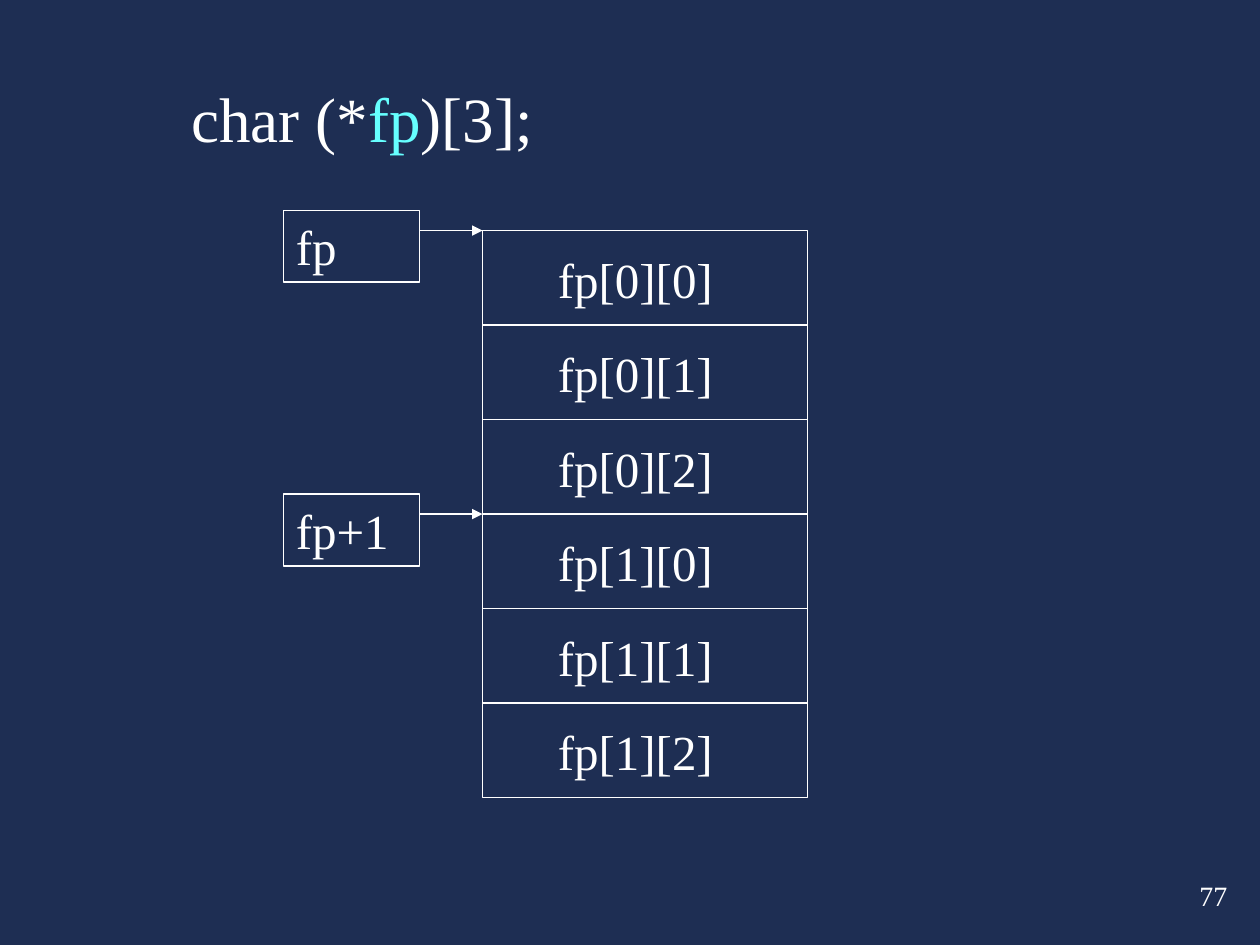
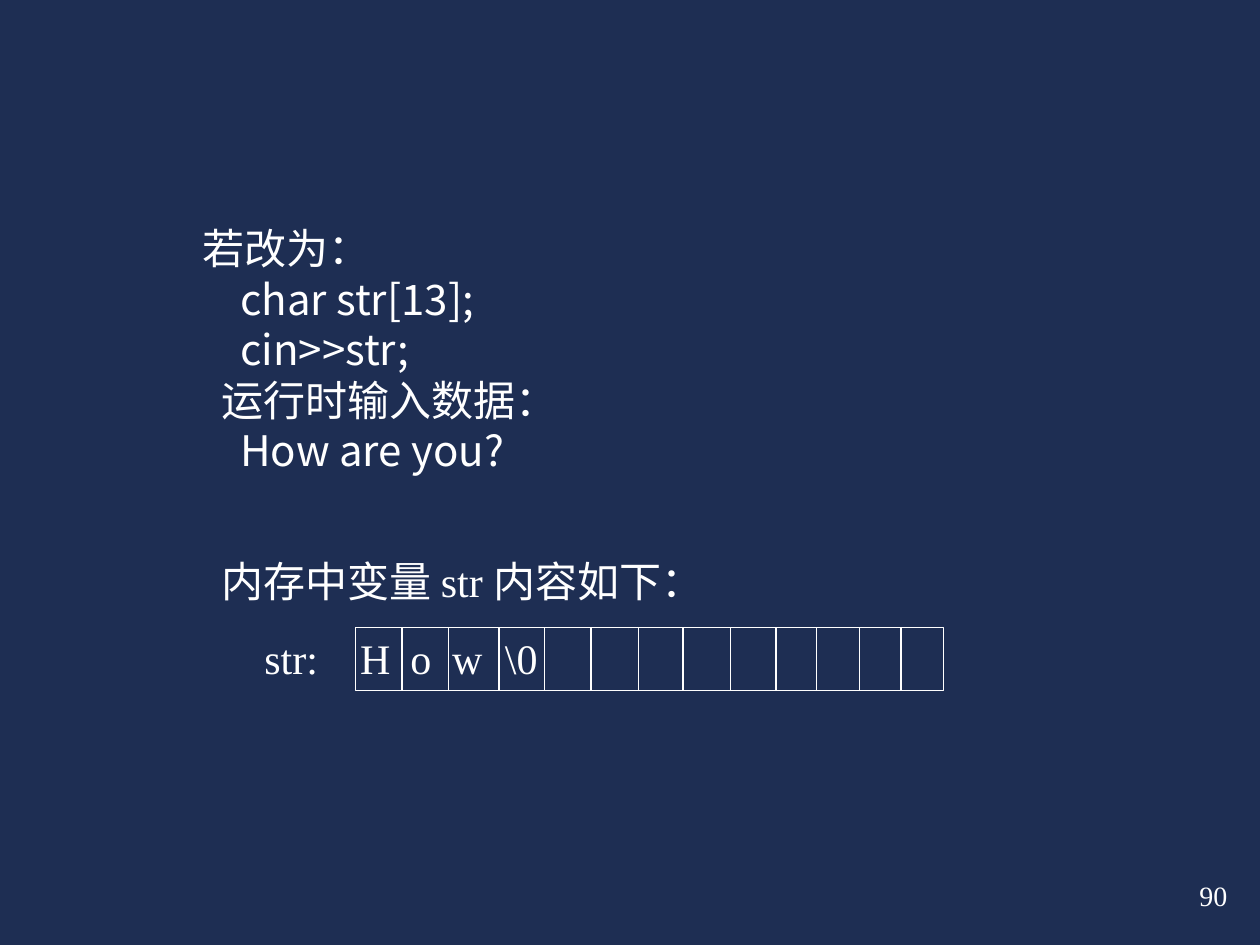
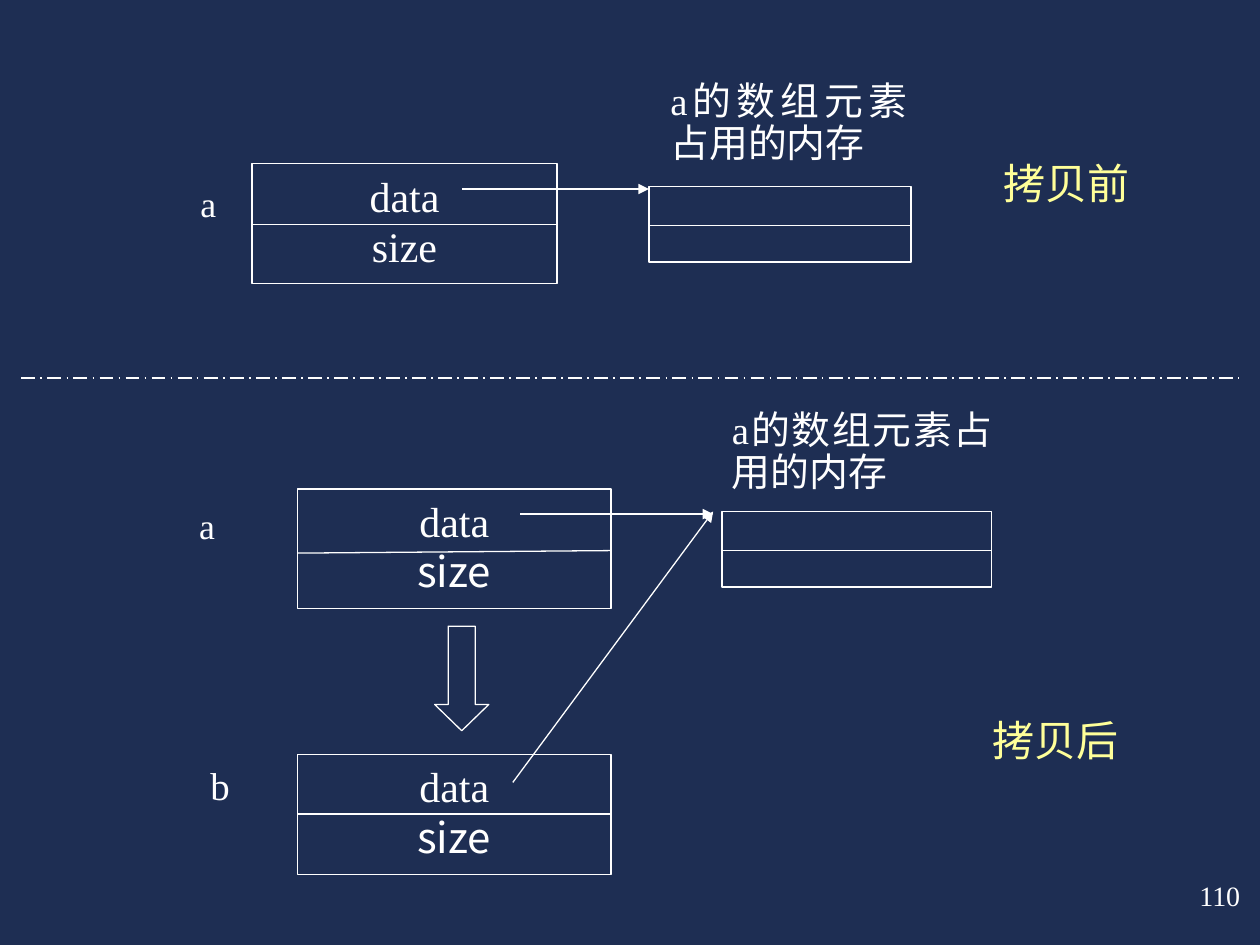
from dataclasses import dataclass

from lxml import etree
from pptx import Presentation
from pptx import util as u
from pptx.dml.color import RGBColor
from pptx.enum import dml, shapes, text
from pptx.oxml import ns

Inches = u.Inches


@dataclass(frozen=True)
class Theme:
    background: str = "1E2E53"
    white: str = "FFFFFF"
    cyan: str = "66FFFF"
    yellow: str = "FFFF99"
    latin: str = "Times New Roman"
    asian: str = "Noto Sans CJK SC"
    title: float = 36
    element: float = 28
    body: float = 24
    caption: float = 22.2
    name: float = 20.4
    number: float = 16
    thin: float = 0.75
    normal: float = 1


THEME = Theme()
LEFT, CENTER, JUSTIFY = text.PP_ALIGN.LEFT, text.PP_ALIGN.CENTER, text.PP_ALIGN.JUSTIFY
INSET = (0.1, 0.05)

# Content: pointer to rows of three characters
DECLARATION = [("char (*", THEME.white), ("fp", THEME.cyan), (")[3];", THEME.white)]
ROWS, COLUMNS = 2, 3
POINTERS = ["fp", "fp+1"]

# Content: reading a string, each line with its indent
CODE_LINES = [
    ("若改为：", 0),
    ("    char str[13];", 0),
    ("    cin>>str;", 0),
    ("运行时输入数据：", 0.15),
    ("How are you?", 0.3),
]
MEMORY_LINES = ["内存中变量 str 内容如下：", "\tstr:\tH\to\tw\t\\0"]
MEMORY_TABS = [0.34, 1.1, 1.5, 1.83, 2.25]
CELL_EDGES = [3.19, 3.56, 3.96, 4.32, 4.69, 5.07, 5.42, 5.8, 6.16, 6.48, 6.82, 7.15]

# Content: objects before and after copying
MEMORY_CAPTION = "a的数组元素占用的内存"
STAGES = [("拷贝前", 7.42, 1.25), ("拷贝后", 7.33, 5.67)]
# name, name size, name position, box, divider heights, font of "size"
OBJECTS = [
    ("a", THEME.name, (1.59, 1.48), (2, 1.3, 2.42, 0.95), (1.78, 1.78), THEME.latin),
    ("a", THEME.name, (1.58, 4.04), (2.36, 3.88, 2.49, 0.95), (4.39, 4.37), THEME.asian),
    ("b", THEME.caption, (1.67, 6.09), (2.36, 5.99, 2.49, 0.95), (6.46, 6.46), THEME.asian),
]
# memory block, caption box
MEMORIES = [
    ((5.15, 1.48, 2.08, 0.6), (5.32, 0.65, 1.88, 0.77)),
    ((5.73, 4.06, 2.14, 0.6), (5.81, 3.26, 2.07, 0.77)),
]
DATA_ARROWS = [
    ((3.67, 1.5), (5.15, 1.5)),
    ((4.13, 4.08), (5.66, 4.08)),
    ((4.07, 6.21), (5.66, 4.06)),
]


# Shared helpers
def write(shape, paragraphs, size=THEME.body, color=THEME.white, fonts=(THEME.latin,),
          align=LEFT, anchor=text.MSO_ANCHOR.TOP, inset=INSET, spacing=None,
          before=0, indents=(), tabs=()):
    """Fill a shape; a paragraph is a string or a list of (text, colour) runs."""
    frame = shape.text_frame
    frame.word_wrap = True
    frame.auto_size = text.MSO_AUTO_SIZE.NONE
    frame.vertical_anchor = anchor
    frame.margin_left = frame.margin_right = Inches(inset[0])
    frame.margin_top = frame.margin_bottom = Inches(inset[1])
    for index, content in enumerate(paragraphs):
        paragraph = frame.add_paragraph() if index else frame.paragraphs[0]
        paragraph.alignment = align
        paragraph.space_before = u.Pt(before if index else 0)
        if spacing:
            paragraph.line_spacing = spacing
        properties = paragraph._p.get_or_add_pPr()
        if indents:
            properties.set("marL", str(Inches(indents[index])))
        if tabs:
            tab_list = etree.SubElement(properties, ns.qn("a:tabLst"))
            for position in tabs:
                etree.SubElement(tab_list, ns.qn("a:tab"), pos=str(Inches(position)), algn="l")
        runs = [(content, color)] if isinstance(content, str) else content
        for words, run_color in runs:
            run = paragraph.add_run()
            run.text = words
            run.font.size = u.Pt(size)
            run.font.color.rgb = RGBColor.from_string(run_color)
            run.font.name = fonts[min(index, len(fonts) - 1)]
            etree.SubElement(run.font._element, ns.qn("a:ea"), typeface=THEME.asian)


def add_text(slide, box, paragraphs, **style):
    write(slide.shapes.add_textbox(*map(Inches, box)), paragraphs, **style)


def add_outline(slide, box, width=THEME.thin, kind=shapes.MSO_SHAPE.RECTANGLE):
    shape = slide.shapes.add_shape(kind, *map(Inches, box))
    shape.shadow.inherit = False
    shape.fill.background()
    shape.line.color.rgb = RGBColor.from_string(THEME.white)
    shape.line.width = u.Pt(width)
    return shape


def add_line(slide, start, end, width=THEME.thin, arrow=False, dash=None):
    line = slide.shapes.add_connector(shapes.MSO_CONNECTOR.STRAIGHT, *map(Inches, start + end))
    line.line.color.rgb = RGBColor.from_string(THEME.white)
    line.line.width = u.Pt(width)
    if dash:
        line.line.dash_style = dash
    if arrow:
        etree.SubElement(line.line._get_or_add_ln(), ns.qn("a:tailEnd"), type="triangle")
    etree.SubElement(line._element.spPr, ns.qn("a:effectLst"))


def add_slide(presentation, layout, number):
    slide = presentation.slides.add_slide(presentation.slide_layouts.get_by_name(layout))
    add_text(slide, (9.42, 6.92, 0.58, 0.37), [str(number)], size=THEME.number)
    return slide


# Slides
def build_pointer_slide(presentation):
    slide = add_slide(presentation, "Title Only", 77)
    title = slide.shapes.title
    title.left, title.top, title.width, title.height = map(Inches, (1.42, 0.58, 4.17, 0.7))
    write(title, [DECLARATION], size=THEME.title)

    left, top, width, step = 3.83, 1.83, 2.58, 0.75
    count = ROWS * COLUMNS
    add_outline(slide, (left, top, width, count * step), THEME.normal)
    for index in range(count):
        y = top + index * step
        if index:
            add_line(slide, (left, y), (left + width, y), THEME.normal)
        row, column = divmod(index, COLUMNS)
        add_text(slide, (4.33, y + 0.1, 1.5, 0.57), [f"fp[{row}][{column}]"], size=THEME.element)

    for row, pointer in enumerate(POINTERS):
        y = top + row * COLUMNS * step
        box = add_outline(slide, (2.25, y - 0.16, 1.08, 0.57), THEME.normal)
        write(box, [pointer], size=THEME.element)
        add_line(slide, (3.33, y), (left, y), THEME.normal, arrow=True)


def build_string_slide(presentation):
    slide = add_slide(presentation, "Blank", 90)
    lines, indents = zip(*CODE_LINES)
    add_text(slide, (1.51, 1.72, 3.04, 2.1), lines, indents=indents,
             fonts=(THEME.asian,), anchor=text.MSO_ANCHOR.MIDDLE)
    add_text(slide, (1.66, 4.36, 4.26, 1.11), MEMORY_LINES, before=15,
             tabs=MEMORY_TABS, anchor=text.MSO_ANCHOR.MIDDLE)
    top, height = 4.98, 0.5
    add_outline(slide, (2.82, top, 4.67, height))
    for x in CELL_EDGES:
        add_line(slide, (x, top), (x, top + height))


def build_copy_slide(presentation):
    slide = add_slide(presentation, "Blank", 110)
    for stage, left, top in STAGES:
        add_text(slide, (left, top, 2.09, 0.43), [stage], color=THEME.yellow,
                 align=CENTER, inset=(0.1, 0))
    add_line(slide, (0.17, 3), (9.83, 3), THEME.normal, dash=dml.MSO_LINE.LONG_DASH_DOT)

    label_style = dict(align=JUSTIFY, spacing=0.9, inset=(0, 0))
    for block, caption_box in MEMORIES:
        left, top, width, _ = block
        add_outline(slide, block)
        add_line(slide, (left, top + 0.31), (left + width, top + 0.31))
        add_text(slide, caption_box, [MEMORY_CAPTION], size=THEME.caption, **label_style)

    for name, size, position, box, divider, size_font in OBJECTS:
        add_text(slide, position + (0.35, 0.36), [name], size=size, **label_style)
        write(add_outline(slide, box), ["data", "size"], fonts=(THEME.latin, size_font),
              align=CENTER, inset=(0, 0.05))
        left, _, width, _ = box
        add_line(slide, (left, divider[0]), (left + width, divider[1]))

    for start, end in DATA_ARROWS:
        add_line(slide, start, end, arrow=True)
    copy_arrow = add_outline(slide, (3.45, 4.97, 0.43, 0.83), kind=shapes.MSO_SHAPE.DOWN_ARROW)
    copy_arrow.adjustments[0] = 0.5
    copy_arrow.adjustments[1] = 0.485


def main():
    presentation = Presentation()
    presentation.slide_width, presentation.slide_height = Inches(10), Inches(7.5)
    fill = presentation.slide_master.background.fill
    fill.solid()
    fill.fore_color.rgb = RGBColor.from_string(THEME.background)
    build_pointer_slide(presentation)
    build_string_slide(presentation)
    build_copy_slide(presentation)
    presentation.save("out.pptx")


if __name__ == "__main__":
    main()
